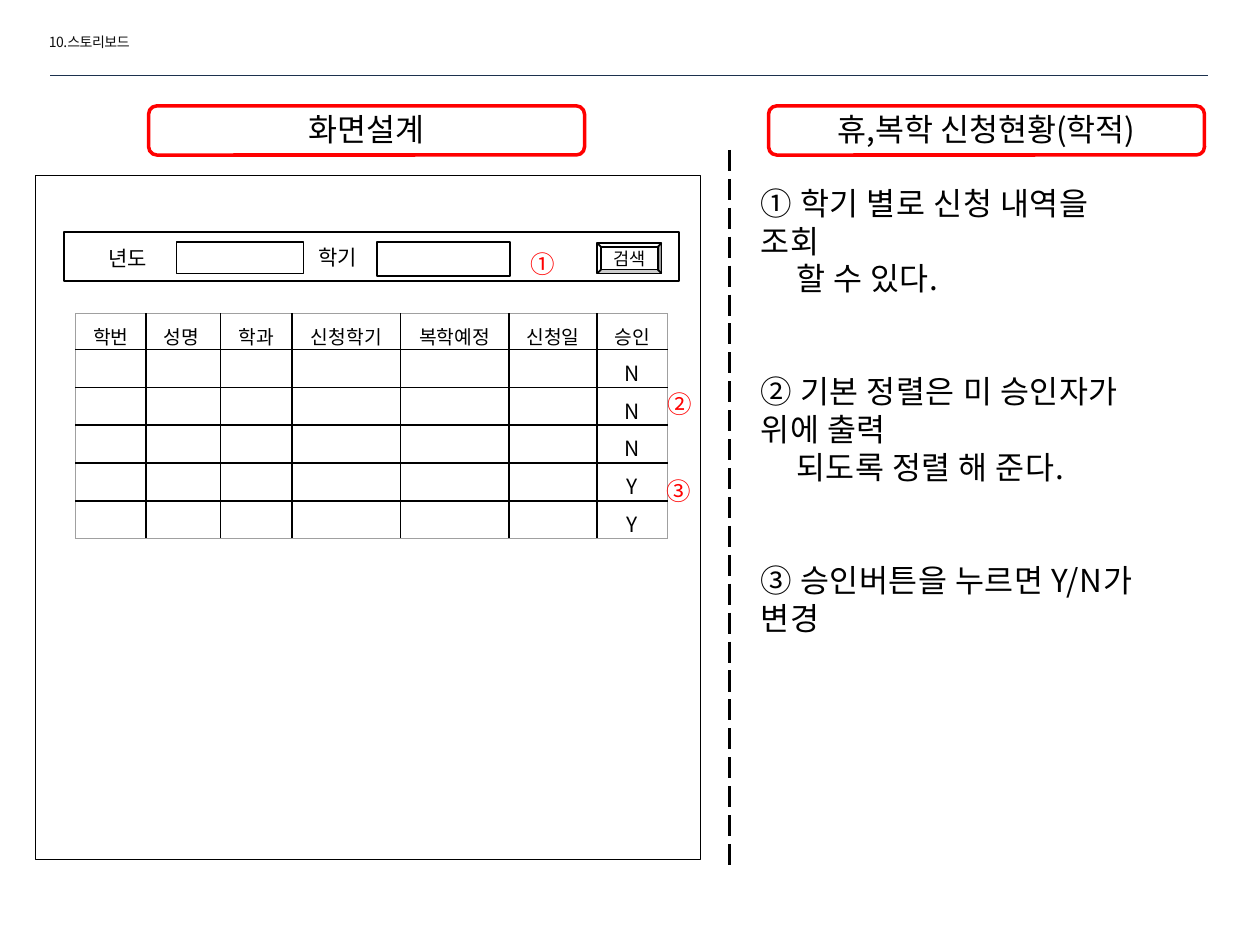
from pptx import Presentation
from pptx.dml.color import RGBColor
from pptx.enum.dml import MSO_LINE
from pptx.enum.shapes import MSO_CONNECTOR, MSO_SHAPE
from pptx.enum.text import MSO_ANCHOR, PP_ALIGN
from pptx.oxml.ns import qn
from pptx.util import Emu, Pt
from lxml import etree

RECT, ROUND, BEVEL = MSO_SHAPE.RECTANGLE, MSO_SHAPE.ROUNDED_RECTANGLE, MSO_SHAPE.BEVEL
STRAIGHT, DASH = MSO_CONNECTOR.STRAIGHT, MSO_LINE.LONG_DASH
MIDDLE, TOP = MSO_ANCHOR.MIDDLE, MSO_ANCHOR.TOP
LEFT, CENTER = PP_ALIGN.LEFT, PP_ALIGN.CENTER
FONT = "Noto Sans CJK KR"
BLACK, WHITE, RED, GREY = "000000", "FFFFFF", "FF0000", "A0A0A0"


def px(n):
    """100 px to the inch."""
    return Emu(n * 9144)


def color(code):
    return RGBColor.from_string(code)


def style(para, size, tint=BLACK, align=LEFT):
    para.alignment = align
    para.line_spacing = Pt(size * 1.2)
    para.font.size = Pt(size)
    for run in para.runs:
        font = run.font
        font.name, font.size = FONT, Pt(size)
        font.color.rgb = color(tint)
        ea = etree.SubElement(run._r.get_or_add_rPr(), qn("a:ea"))
        ea.set("typeface", FONT)


def space(frame, value):
    """Letter spacing in hundredths of a point."""
    for para in frame.paragraphs:
        for run in para.runs:
            run._r.get_or_add_rPr().set("spc", str(value))


def add_box(slide, kind, x, y, w, h, width=1, tint=BLACK, fill=WHITE, text="", size=18):
    box = slide.shapes.add_shape(kind, px(x), px(y), px(w), px(h))
    box.shadow.inherit = False
    if fill:
        box.fill.solid()
        box.fill.fore_color.rgb = color(fill)
    else:
        box.fill.background()
    box.line.color.rgb = color(tint)
    box.line.width = Pt(width)
    if text:
        frame = box.text_frame
        frame.margin_left = frame.margin_right = 0
        frame.margin_top = frame.margin_bottom = 0
        frame.vertical_anchor = MIDDLE
        frame.text = text
        style(frame.paragraphs[0], size, align=CENTER)
    return box


def add_text(slide, x, y, w, h, text, size, tint=BLACK):
    frame = slide.shapes.add_textbox(px(x), px(y), px(w), px(h)).text_frame
    frame.word_wrap = True
    frame.text = text
    for para in frame.paragraphs:
        style(para, size, tint)
    return frame


def add_line(slide, x1, y1, x2, y2, tint, width):
    line = slide.shapes.add_connector(STRAIGHT, px(x1), px(y1), px(x2), px(y2))
    line.line.color.rgb = color(tint)
    line.line.width = Pt(width)
    etree.SubElement(line._element.spPr, qn("a:effectLst"))
    return line


def add_edge(cell, side, tint, width):
    edge = etree.SubElement(cell._tc.get_or_add_tcPr(), qn("a:" + side), w=str(Pt(width)))
    fill = etree.SubElement(edge, qn("a:solidFill"))
    etree.SubElement(fill, qn("a:srgbClr"), val=tint)


# Page heading and rule
def add_head(slide, x, y):
    space(add_text(slide, x, y, 173, 24, "10.스토리보드", 8, "0D0D0D"), -30)
    add_line(slide, x + 11, y + 38, x + 930, y + 38, "1C314E", 0.25)


def add_title(slide, x, y, text):
    box = add_box(slide, ROUND, x, y, 346, 39, 2, RED, None, text)
    box.text_frame.margin_bottom = px(2)


# Search bar
def add_search(slide, x, y):
    add_box(slide, RECT, x, y, 488, 39)
    add_box(slide, RECT, x + 89, y + 8, 101, 25)
    add_box(slide, RECT, x + 248, y + 8, 106, 27)
    add_text(slide, x + 25, y + 6, 77, 30, "년도", 12)
    add_text(slide, x + 192, y + 5, 77, 30, "학기", 12)
    add_box(slide, BEVEL, x + 423, y + 9, 51, 24, text="검색", size=10)


# Table of applications
def add_grid(slide, x, y):
    heads = ["학번", "성명 ", "학과", "신청학기", "복학예정", "신청일", "승인"]
    wides = [56, 59, 57, 86, 86, 70, 56]
    rows = [heads] + [[""] * 6 + [state] for state in "NNNYY"]
    last, end = len(rows) - 1, len(heads) - 1
    table = slide.shapes.add_table(len(rows), len(heads), px(x), px(y),
                                   px(sum(wides)), px(28 + 30 * last)).table
    table.first_row = table.horz_banding = False
    for col, wide in zip(table.columns, wides):
        col.width = px(wide)
    for r, row in enumerate(rows):
        table.rows[r].height = px(30 if r else 28)
        for c, text in enumerate(row):
            cell = table.cell(r, c)
            cell.text = text
            cell.margin_top, cell.margin_bottom = px(10), 0
            cell.margin_left = cell.margin_right = px(5)
            cell.vertical_anchor = TOP
            style(cell.text_frame.paragraphs[0], 12 if r else 11, align=CENTER)
            outer = {"lnL": c == 0, "lnR": c == end, "lnT": r == 0, "lnB": r == last}
            for side, rim in outer.items():
                add_edge(cell, side, GREY if rim else BLACK, 0.5 if rim else 1)
            cell.fill.background()


# Screen mock-up with numbered marks
def add_screen(slide, x, y):
    add_box(slide, RECT, x, y, 528, 543, 0.25, fill=None)
    add_search(slide, x + 23, y + 45)
    add_grid(slide, x + 32, y + 110)
    for mark, dx, dy in [("①", 383, 54), ("②", 492, 165), ("③", 491, 234)]:
        add_text(slide, x + dx, y + dy, 47, 34, mark, 14, RED)


# Explanations of the marks
def add_notes(slide, x, y):
    notes = [("① 학기 별로 신청 내역을 조회", "할 수 있다."),
             ("② 기본 정렬은 미 승인자가 위에 출력", "되도록 정렬 해 준다."),
             ("③ 승인버튼을 누르면 Y/N가 변경",)]
    lines = [line for note in notes for line in note]
    frame = add_text(slide, x, y, 329, 283, "\n".join(lines), 18)
    frame.margin_right = px(13)
    space(frame, 30)
    for i, para in enumerate(frame.paragraphs):
        if i % 2:
            para._p.get_or_add_pPr().set("marL", str(px(28)))
        elif i:
            para.space_before = Pt(43)


def main():
    deck = Presentation()
    deck.slide_width, deck.slide_height = px(1000), px(750)
    slide = deck.slides.add_slide(deck.slide_layouts[6])
    add_line(slide, 579, 119, 579, 690, BLACK, 1.5).line.dash_style = DASH
    add_title(slide, 610, 84, "휴,복학 신청현황(학적)")
    add_title(slide, 118, 84, "화면설계")
    add_screen(slide, 28, 139)
    add_notes(slide, 594, 141)
    add_head(slide, 29, 22)
    deck.save("out.pptx")


if __name__ == "__main__":
    main()
